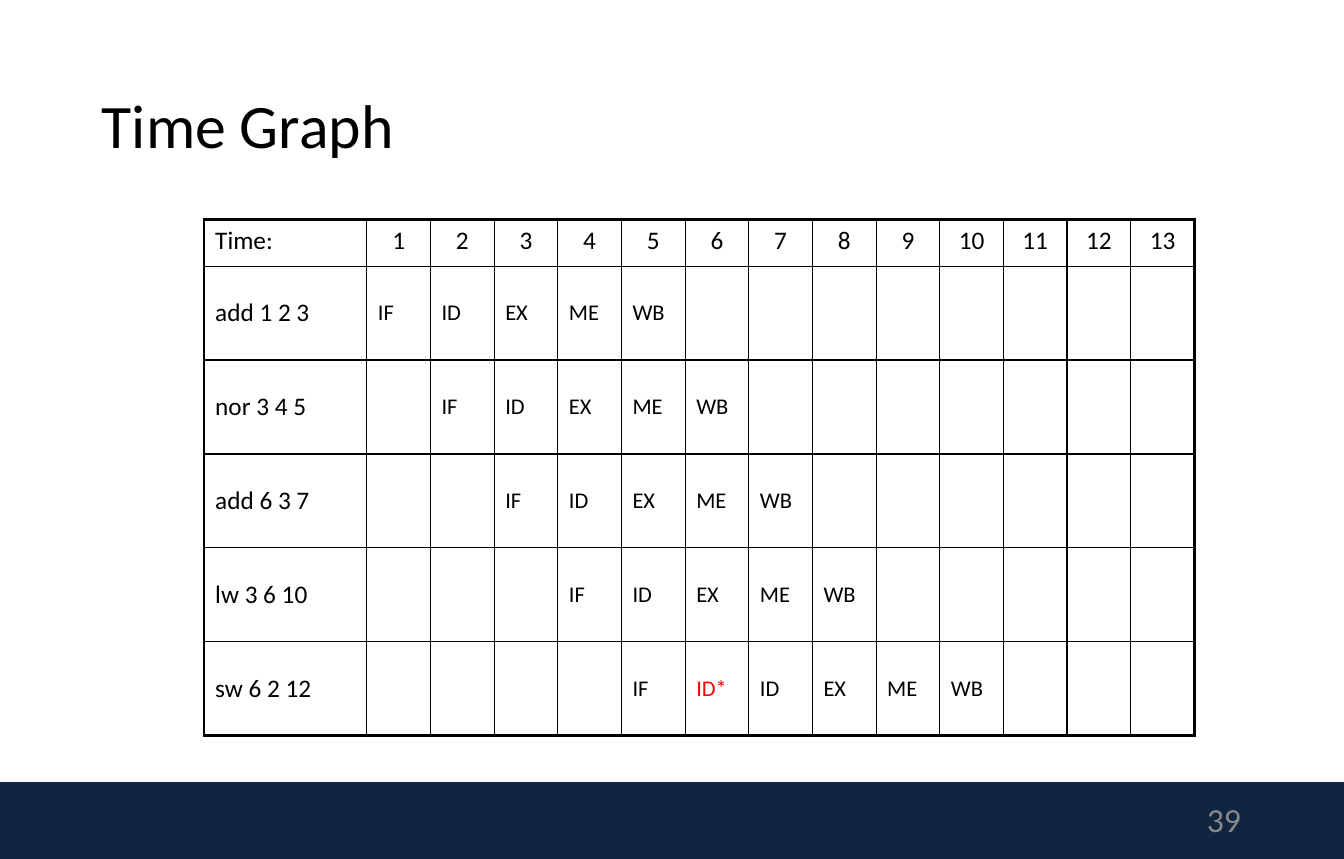
import lxml.etree
import pptx
import pptx.dml.color
import pptx.enum.shapes
import pptx.enum.text
import pptx.oxml.ns
import pptx.util

Cm = pptx.util.Cm
Pt = pptx.util.Pt
ALIGN = pptx.enum.text.PP_ALIGN
ANCHOR = pptx.enum.text.MSO_ANCHOR

# Content
TITLE = "Time Graph"
PAGE = "39"
TIME_LABEL = "Time:"
CYCLES = 13
STAGES = ["IF", "ID", "EX", "ME", "WB"]
STALL = "ID*"
# Each instruction enters the pipeline one cycle after the previous one
INSTRUCTIONS = [
    ("add 1 2 3", STAGES),
    ("nor 3 4 5", STAGES),
    ("add 6 3 7", STAGES),
    ("lw 3 6 10", STAGES),
    ("sw 6 2 12", ["IF", STALL, *STAGES[1:]]),
]

# Look
COLORS = {"text": "000000", "grid": "000000", "stall": "FF0000",
          "bar": "10253F", "page": "888888", "shadow": "808080"}
FONT = "Calibri"
SLIDE_W, SLIDE_H = 33.78, 21.59
BAR_TOP = 19.66
GRID_LEFT, GRID_TOP = 5.13, 5.51
LABEL_W, CYCLE_W = 4.09, 1.6
HEADER_H, ROW_H = 1.18, 2.36
THIN, THICK = 1, 2.25


def rgb(name):
    return pptx.dml.color.RGBColor.from_string(COLORS[name])


def write(frame, text, size, color="text", align=ALIGN.LEFT):
    frame.text = text
    paragraph = frame.paragraphs[0]
    paragraph.alignment = align
    for run in paragraph.runs:
        run.font.name = FONT
        run.font.size = Pt(size)
        run.font.color.rgb = rgb(color)
    return paragraph


def add_text(left, top, width, height, *content):
    frame = slide.shapes.add_textbox(Cm(left), Cm(top), Cm(width), Cm(height)).text_frame
    frame.word_wrap = True
    frame.vertical_anchor = ANCHOR.MIDDLE
    return write(frame, *content)


def add_child(parent, tag, **attributes):
    return lxml.etree.SubElement(parent, pptx.oxml.ns.qn(tag), attributes)


def draw_borders(cell, widths):
    properties = cell._tc.get_or_add_tcPr()
    for side, width in widths.items():
        line = add_child(properties, f"a:ln{side}", w=str(Pt(width)))
        fill = add_child(line, "a:solidFill")
        add_child(fill, "a:srgbClr", val=COLORS["grid"])


deck = pptx.Presentation()
deck.slide_width, deck.slide_height = Cm(SLIDE_W), Cm(SLIDE_H)
slide = deck.slides.add_slide(deck.slide_layouts[6])

# Footer bar with a soft shadow
bar = slide.shapes.add_shape(pptx.enum.shapes.MSO_SHAPE.RECTANGLE, 0, Cm(BAR_TOP),
                             Cm(SLIDE_W), Cm(SLIDE_H - BAR_TOP))
bar.fill.solid()
bar.fill.fore_color.rgb = rgb("bar")
bar.line.fill.background()
bar.shadow.inherit = False
effects = bar._element.spPr.find(pptx.oxml.ns.qn("a:effectLst"))
shadow = add_child(effects, "a:outerShdw", blurRad=str(Pt(3.1)), dist=str(Pt(1.8)),
                   dir="5400000", rotWithShape="0")
shade = add_child(shadow, "a:srgbClr", val=COLORS["shadow"])
add_child(shade, "a:alpha", val="35000")

# Title and page number
title = add_text(2.31, 1.14, 29.13, 4.17, TITLE, 44)
title.line_spacing = 0.9
add_text(23.85, 20.02, 7.59, 1.14, PAGE, 24, "page", ALIGN.RIGHT)

# Pipeline grid: a header row, then one row per instruction
rows = [[TIME_LABEL, *map(str, range(1, CYCLES + 1))]]
for start, (instruction, stages) in enumerate(INSTRUCTIONS):
    timeline = [""] * start + stages
    rows.append([instruction, *timeline, *[""] * (CYCLES - len(timeline))])

last_row, last_col = len(INSTRUCTIONS), CYCLES
grid = slide.shapes.add_table(
    len(rows), CYCLES + 1, Cm(GRID_LEFT), Cm(GRID_TOP),
    Cm(LABEL_W + CYCLES * CYCLE_W), Cm(HEADER_H + last_row * ROW_H)).table
grid.first_row = grid.horz_banding = False
for c, column in enumerate(grid.columns):
    column.width = Cm(CYCLE_W if c else LABEL_W)

for r, texts in enumerate(rows):
    grid.rows[r].height = Cm(ROW_H if r else HEADER_H)
    for c, text in enumerate(texts):
        cell = grid.cell(r, c)
        cell.margin_left = cell.margin_right = Cm(0.28)
        cell.margin_top = cell.margin_bottom = Cm(0.15)
        cell.vertical_anchor = ANCHOR.MIDDLE if r else ANCHOR.TOP
        write(cell.text_frame, text, 16 if r and c else 18,
              "stall" if text == STALL else "text",
              ALIGN.CENTER if c and not r else ALIGN.LEFT)
        draw_borders(cell, {"L": THIN if c else THICK,
                            "R": THICK if c == last_col else THIN,
                            "T": THIN if r else THICK,
                            "B": THICK if r == last_row else THIN})
        cell.fill.background()

deck.save("out.pptx")
